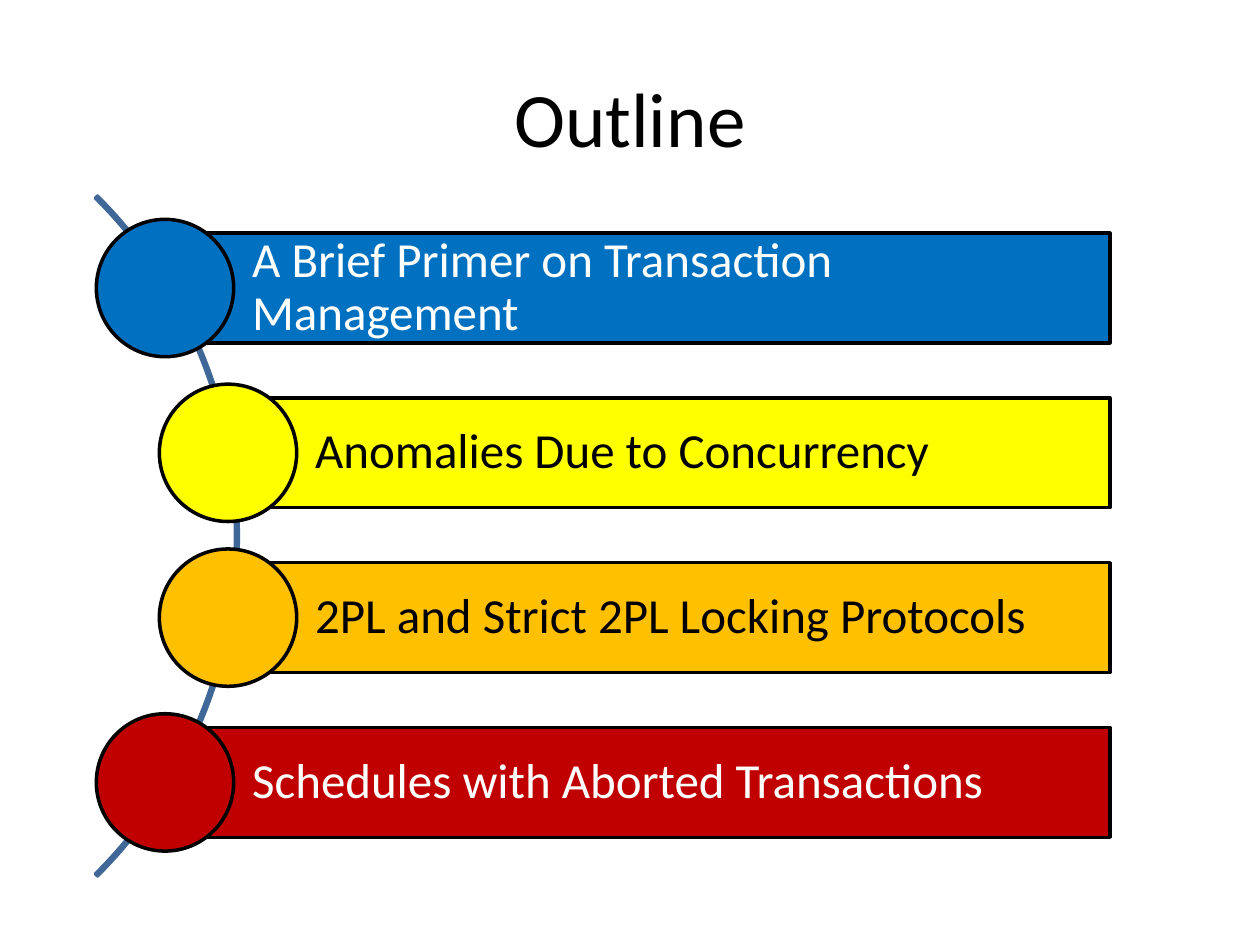
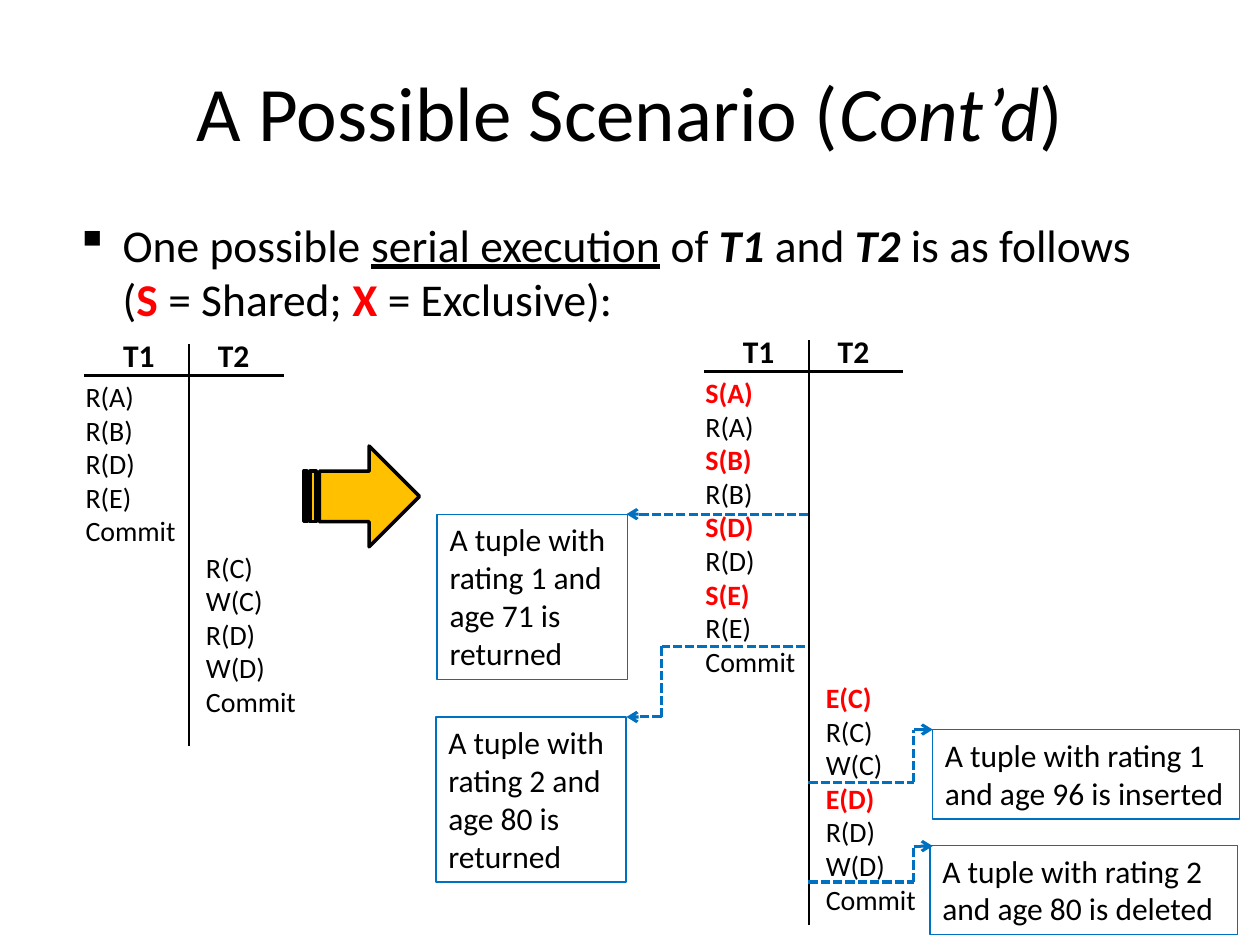
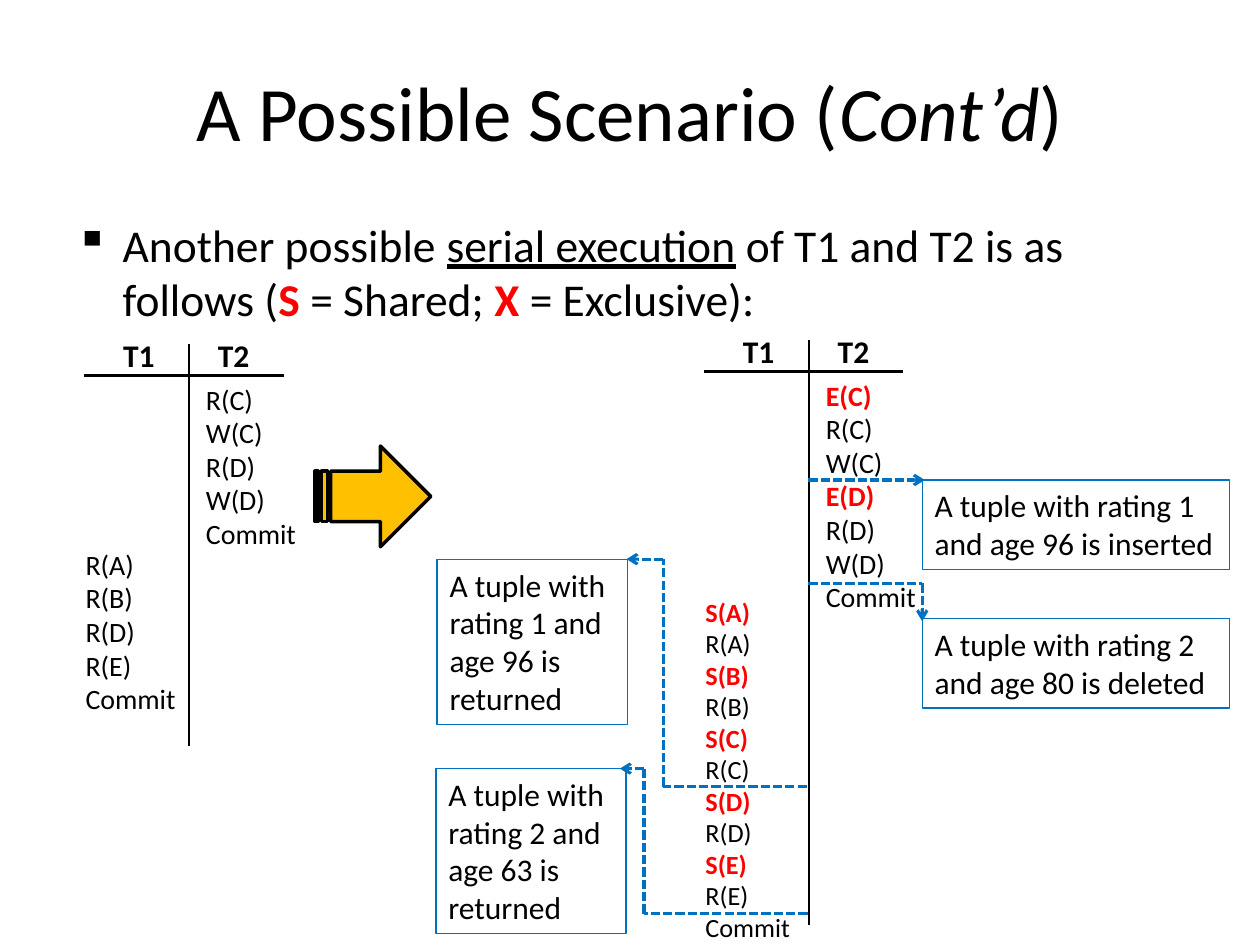
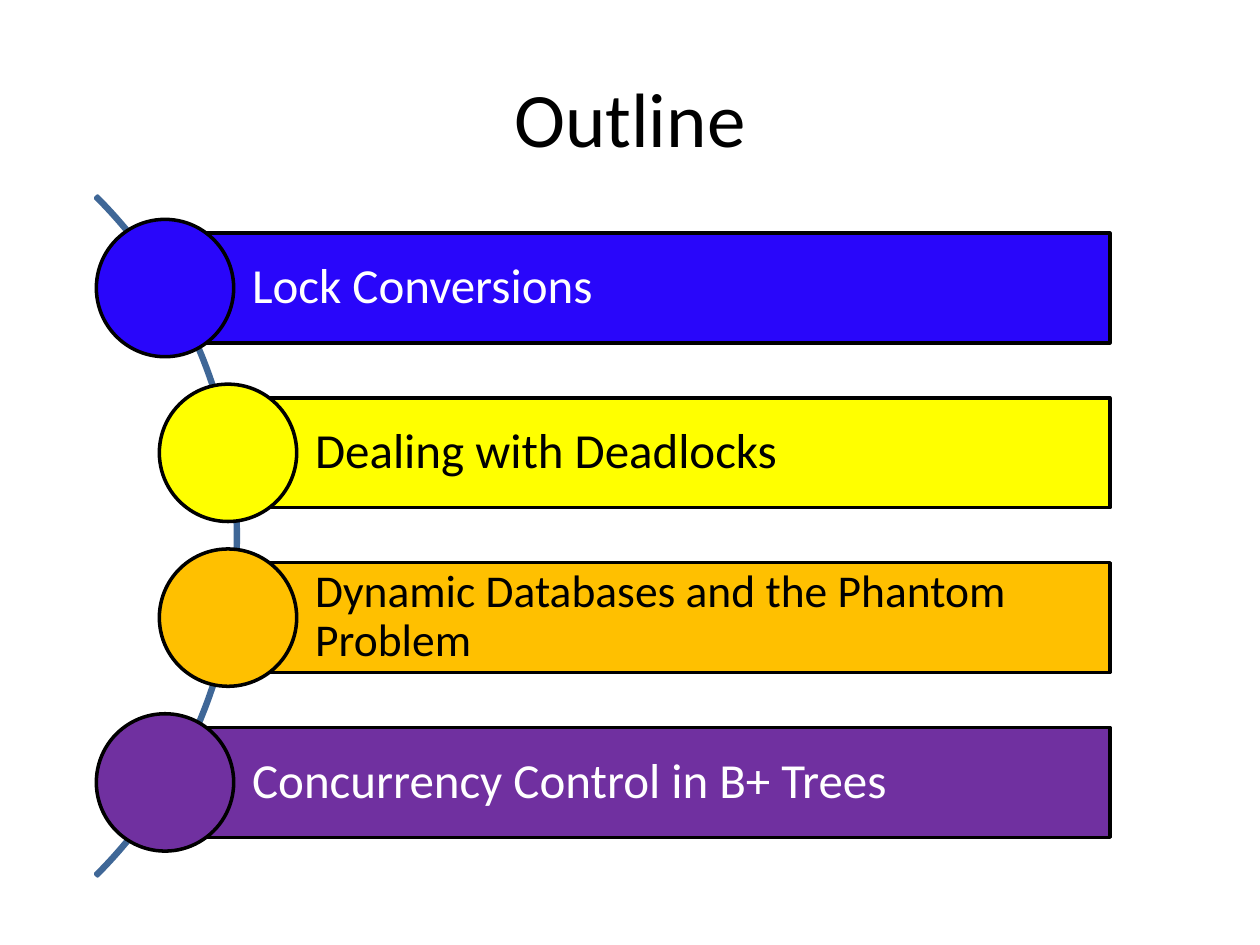
from lxml import etree
from pptx import Presentation
from pptx.dml.color import RGBColor
from pptx.enum import dml, shapes, text
from pptx.oxml import ns
from pptx.util import Pt

COLORS = {
    "black": "000000", "white": "FFFFFF", "red": "FF0000", "blue": "0070C0",
    "yellow": "FFFF00", "amber": "FFC000", "crimson": "C00000",
    "indigo": "2906FA", "purple": "7030A0", "arc": "3F6797",
}
C = {name: RGBColor.from_string(value) for name, value in COLORS.items()}
FONT = "Calibri"


def write(frame, paragraphs, size, color="black", insets=(7.2, 3.6, 0, 3.6)):
    """Fill a frame; a paragraph is a list of (text, style), style letters: b, i, u, r(ed)."""
    frame.word_wrap = True
    frame.margin_left, frame.margin_top, frame.margin_right, frame.margin_bottom = map(Pt, insets)
    for number, runs in enumerate(paragraphs):
        paragraph = frame.paragraphs[0] if number == 0 else frame.add_paragraph()
        paragraph.alignment = text.PP_ALIGN.LEFT
        paragraph.font.name, paragraph.font.size = FONT, Pt(size)
        paragraph.font.color.rgb = C[color]
        for words, style in runs:
            for part, line in enumerate(words.split("\v")):
                if part:
                    paragraph.add_line_break()
                if not line:
                    continue
                run = paragraph.add_run()
                run.text = line
                if "b" in style:
                    run.font.bold = True
                if "i" in style:
                    run.font.italic = True
                if "u" in style:
                    run.font.underline = True
                if "r" in style:
                    run.font.color.rgb = C["red"]
    return frame


def connect(slide, start, end, color="black", width=1.5, dashed=False, arrow=False):
    line = slide.shapes.add_connector(
        shapes.MSO_CONNECTOR.STRAIGHT, *map(Pt, (*start, *end)))
    line.line.color.rgb, line.line.width = C[color], Pt(width)
    if dashed:
        line.line.dash_style = dml.MSO_LINE.SQUARE_DOT
    if arrow:
        etree.SubElement(line.line._get_or_add_ln(), ns.qn("a:tailEnd"), type="arrow")
    etree.SubElement(line._element.spPr, ns.qn("a:effectLst"))


deck = Presentation()
deck.slide_width, deck.slide_height = Pt(720), Pt(540)
slides = [deck.slides.add_slide(deck.slide_layouts[6]) for _ in range(4)]

# Titles
OUTLINE_TITLE = [("Outline", "")]
SCENARIO_TITLE = [("A Possible Scenario (", ""), ("Cont’d", "i"), (")", "")]
titles = [(21.6, OUTLINE_TITLE), (18, SCENARIO_TITLE), (18, SCENARIO_TITLE), (21.6, OUTLINE_TITLE)]
for slide, (top, title) in zip(slides, titles):
    box = slide.shapes.add_textbox(Pt(36), Pt(top), Pt(648), Pt(90))
    frame = write(box.text_frame, [title], 44, insets=(7.2, 3.6, 7.2, 3.6))
    frame.vertical_anchor = text.MSO_ANCHOR.MIDDLE
    frame.paragraphs[0].alignment = text.PP_ALIGN.CENTER

# Outline slides: an arc with four topics along it
BAR_TOP, BAR_STEP, BAR_HEIGHT, BAR_RIGHT, DISC = 133.2, 94.17, 62.8, 634.2, 78.5
outlines = {
    0: [("A Brief Primer on Transaction Management", "blue", "white", 28),
        ("Anomalies Due to Concurrency", "yellow", "black", 28),
        ("2PL and Strict 2PL Locking Protocols", "amber", "black", 28),
        ("Schedules with Aborted Transactions", "crimson", "white", 28)],
    3: [("Lock Conversions", "indigo", "white", 28),
        ("Dealing with Deadlocks", "yellow", "black", 28),
        ("Dynamic Databases and the Phantom Problem", "amber", "black", 26),
        ("Concurrency Control in B+ Trees", "purple", "white", 28)],
}
for index, topics in outlines.items():
    slide = slides[index]
    arc = slide.shapes.add_shape(
        shapes.MSO_SHAPE.BLOCK_ARC, Pt(-413.2), Pt(31.6), Pt(549.4), Pt(549.4))
    arc.adjustments[0], arc.adjustments[1], arc.adjustments[2] = 189, 27, 0.003
    arc.fill.background()
    arc.line.color.rgb, arc.line.width = C["arc"], Pt(2)
    arc.shadow.inherit = False
    for row, (topic, fill, ink, size) in enumerate(topics):
        left = 130.3 if row in (1, 2) else 94.3
        top = BAR_TOP + row * BAR_STEP
        bar = slide.shapes.add_shape(
            shapes.MSO_SHAPE.RECTANGLE, Pt(left), Pt(top), Pt(BAR_RIGHT - left), Pt(BAR_HEIGHT))
        disc = slide.shapes.add_shape(
            shapes.MSO_SHAPE.OVAL, Pt(left - DISC / 2), Pt(top + (BAR_HEIGHT - DISC) / 2),
            Pt(DISC), Pt(DISC))
        for part in (bar, disc):
            part.fill.solid()
            part.fill.fore_color.rgb = C[fill]
            part.line.color.rgb, part.line.width = C["black"], Pt(2)
            part.shadow.inherit = False
        frame = write(bar.text_frame, [[(topic, "")]], size, ink, (49.8, 5.4, 5.4, 5.4))
        frame.vertical_anchor = text.MSO_ANCHOR.MIDDLE
        frame.paragraphs[0].line_spacing = 0.9

# Scenario slides: a plain schedule becomes one with locks
LEGEND = [("S", "br"), (" = Shared; ", ""), ("X", "br"), (" = Exclusive):", "")]
RETURNED = "A tuple with \vrating {} and \vage {} is \vreturned"
CHANGED = "A tuple with rating {} \nand age {} is {}"
NARROW, WIDE = (108.7, 94.3), (175.7, 51.1)
READS, WRITES = "R(A) R(B) R(D) R(E) Commit", "R(C) W(C) R(D) W(D) Commit"
LOCKED_WRITES = "E(C) R(C) W(C) E(D) R(D) W(D) Commit"
# Spine x, top and bottom of the plain and the locked schedule
PLAIN, LOCKED = (108, 196.6, 426.2), (462.2, 194.4, 528.5)

# Each column: rows left free above, operations, text size
scenarios = {
    1: {
        "lead": [("One possible ", ""), ("serial execution", "u"), (" of ", ""), ("T1", "bi"),
                 (" and ", ""), ("T2", "bi"), (" is as follows \v(", "")],
        "schedules": [(PLAIN, (0, READS, 16), (5, WRITES, 16)),
                      (LOCKED, (0, "S(A) R(A) S(B) R(B) S(D) R(D) S(E) R(E) Commit", 16),
                       (9, LOCKED_WRITES, 16))],
        "arrow": 173.5,
        "notes": [(249.8, 293.8, NARROW, RETURNED.format(1, 71)),
                  (249.1, 409.7, NARROW, RETURNED.format(2, 80)),
                  (532.8, 416.9, WIDE, CHANGED.format(1, 96, "inserted")),
                  (531.4, 483.1, WIDE, CHANGED.format(2, 80, "deleted"))],
        "paths": [[(462, 293.8), (358, 293.8)],
                  [(460, 369.4), (378, 369.4), (378, 409.7), (358, 409.7)],
                  [(462, 447.1), (522, 447.1), (522, 416.9), (533, 416.9)],
                  [(462, 504), (522, 504), (522, 483.5), (533, 483.5)]],
    },
    2: {
        "lead": [("Another possible ", ""), ("serial execution", "u"),
                 (" of T1 and T2 is as follows (", "")],
        "schedules": [(PLAIN, (5, READS, 16), (0, WRITES, 16)),
                      (LOCKED, (7, "S(A) R(A) S(B) R(B) S(C) R(C) S(D) R(D) S(E) R(E) Commit", 15),
                       (0, LOCKED_WRITES, 16))],
        "arrow": 180,
        "notes": [(249.8, 319.7, NARROW, RETURNED.format(1, 96)),
                  (249.1, 439.2, NARROW, RETURNED.format(2, 63)),
                  (527, 274.3, WIDE, CHANGED.format(1, 96, "inserted")),
                  (527, 353.5, WIDE, CHANGED.format(2, 80, "deleted"))],
        "paths": [[(462, 274.3), (528.5, 274.3)],
                  [(461, 449.5), (379, 449.5), (379, 319.5), (358, 319.5)],
                  [(462, 333.4), (527, 333.4), (527, 355)],
                  [(461.5, 522), (368, 522), (368, 439.2), (354.2, 439.2)]],
    },
}
for index, scenario in scenarios.items():
    slide = slides[index]

    # Bulleted introduction
    intro = slide.shapes.add_textbox(Pt(36), Pt(120.2), Pt(648), Pt(414))
    frame = write(intro.text_frame, [scenario["lead"] + LEGEND], 26, insets=(7.2, 3.6, 7.2, 3.6))
    properties = frame.paragraphs[0]._p.get_or_add_pPr()
    properties.set("marL", str(Pt(27)))
    properties.set("indent", str(Pt(-27)))
    bullet = etree.Element(ns.qn("a:buChar"), char="▪")
    properties.insert(0, bullet)

    # Schedules with their T1 and T2 columns
    for (spine, top, bottom), first, second in scenario["schedules"]:
        connect(slide, (spine, top), (spine, bottom))
        connect(slide, (spine - 60, top + 18), (spine + 54, top + 18))
        columns = [("T1", -44.8, -66.2, 16.5, first), ("T2", 9.4, 2.6, 18, second)]
        for name, name_x, column_x, column_y, (free_rows, operations, size) in columns:
            heading = slide.shapes.add_textbox(
                Pt(spine + name_x), Pt(top - 8.4), Pt(32.4), Pt(29))
            write(heading.text_frame, [[(name, "b")]], 18)
            rows = [[(step, "br" if step[0] in "SE" else "")] for step in operations.split()]
            height = (free_rows + len(rows)) * size * 1.2 + 7.2
            column = slide.shapes.add_textbox(
                Pt(spine + column_x), Pt(top + column_y), Pt(66.2), Pt(height))
            frame = write(column.text_frame, rows, size)
            frame.vertical_anchor = text.MSO_ANCHOR.BOTTOM

    # Arrow from the plain to the locked schedule
    arrow = slide.shapes.add_shape(
        shapes.MSO_SHAPE.STRIPED_RIGHT_ARROW, Pt(scenario["arrow"]), Pt(254.9), Pt(66.2), Pt(57.6))
    arrow.fill.solid()
    arrow.fill.fore_color.rgb = C["amber"]
    arrow.line.color.rgb, arrow.line.width = C["black"], Pt(2)
    arrow.shadow.inherit = False

    # Outcome notes
    for left, top, (width, height), words in scenario["notes"]:
        note = slide.shapes.add_shape(
            shapes.MSO_SHAPE.RECTANGLE, Pt(left), Pt(top), Pt(width), Pt(height))
        note.fill.background()
        note.line.color.rgb, note.line.width = C["blue"], Pt(0.75)
        note.shadow.inherit = False
        frame = write(note.text_frame, [[(line, "")] for line in words.split("\n")], 18)
        frame.vertical_anchor = text.MSO_ANCHOR.TOP

    # Dashed paths from the schedule to the notes
    for path in scenario["paths"]:
        for start, end in zip(path, path[1:]):
            connect(slide, start, end, "blue", 1.75, dashed=True, arrow=end == path[-1])

deck.save("out.pptx")
